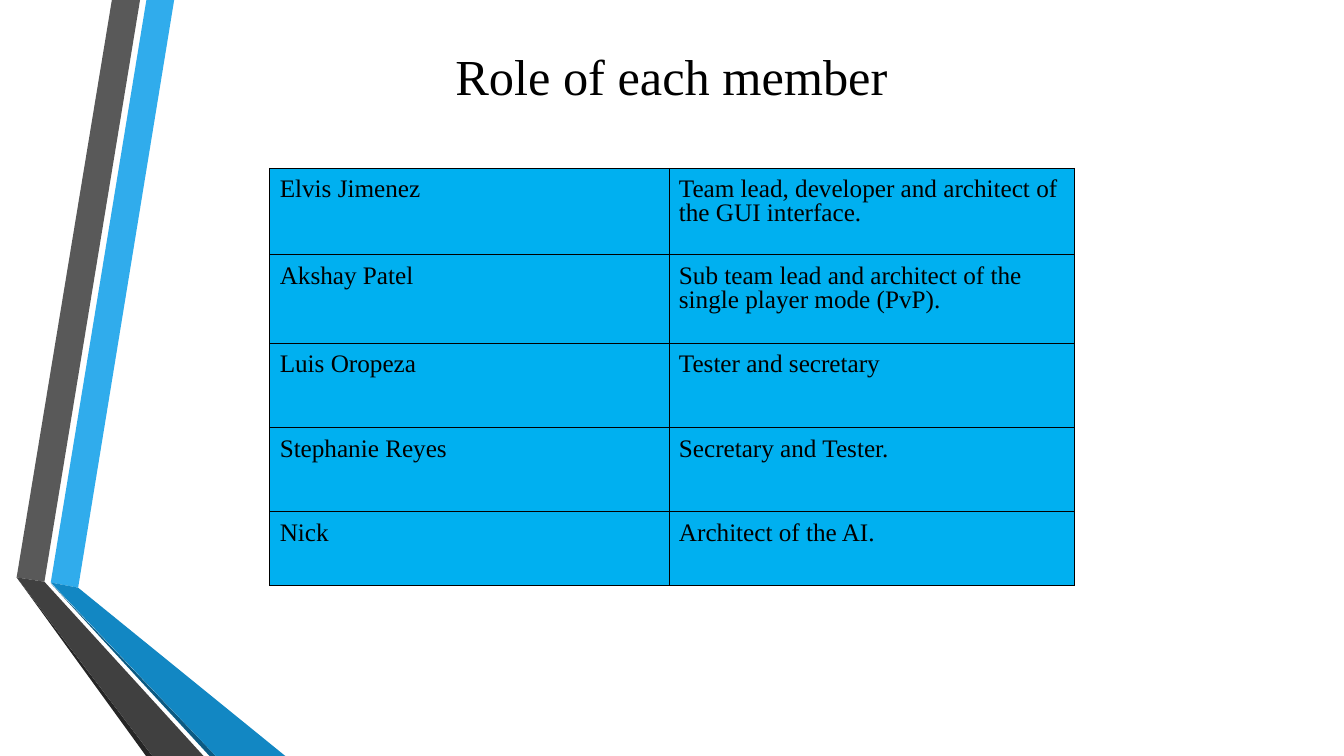
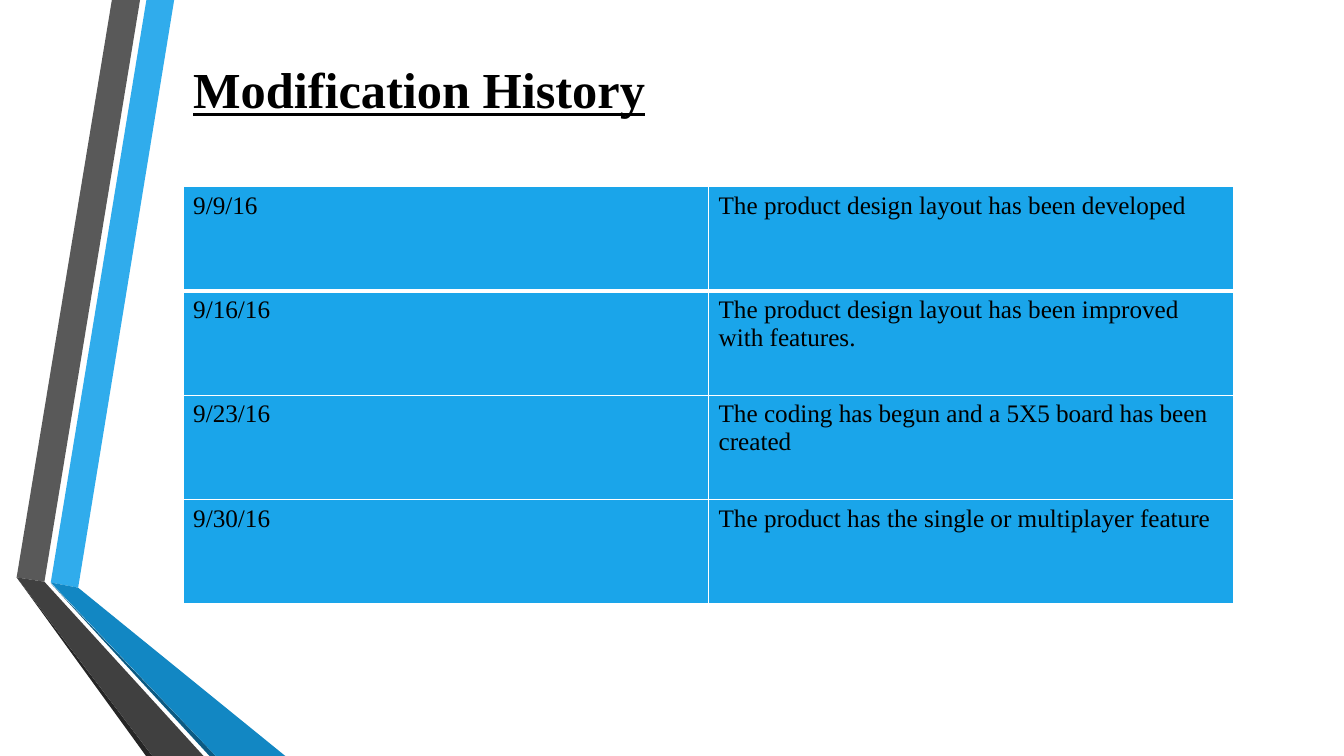
import dataclasses

import pptx
import pptx.dml.color
import pptx.enum.text
import pptx.oxml
import pptx.oxml.ns
import pptx.presentation
import pptx.slide
import pptx.table
import pptx.text.text
import pptx.util

Cm = pptx.util.Cm
Pt = pptx.util.Pt
Align = pptx.enum.text.PP_ALIGN
Anchor = pptx.enum.text.MSO_ANCHOR


@dataclasses.dataclass(frozen=True)
class Theme:
    """Colours, font and type sizes shared by the slides."""

    font: str = "Times New Roman"
    title_size: int = 36
    body_size: int = 18
    black: str = "000000"
    white: str = "FFFFFF"
    cyan: str = "00B0F0"
    azure: str = "1AA5EA"
    light_blue: str = "30ACEC"
    mid_blue: str = "1287C3"
    deep_blue: str = "0C5A82"
    grey: str = "595959"
    dark_grey: str = "404040"
    charcoal: str = "262626"


THEME = Theme()


@dataclasses.dataclass(frozen=True)
class Band:
    """One filled outline of the ribbon; points are in centimetres."""

    color: str
    points: tuple[tuple[float, float], ...]


@dataclasses.dataclass(frozen=True)
class Title:
    """A slide title and its box in centimetres."""

    text: str
    left: float
    top: float
    width: float
    height: float
    align: Align = Align.LEFT
    anchor: Anchor = Anchor.MIDDLE
    emphasized: bool = False


@dataclasses.dataclass(frozen=True)
class Grid:
    """A two-column table; lengths are in centimetres, borders in points."""

    left: float
    top: float
    columns: tuple[float, ...]
    row_heights: tuple[float, ...]
    rows: tuple[tuple[str, str], ...]
    fill: str
    border_color: str
    border: float
    first_rule: float
    vertical_margin: float
    line_spacing: float = 1.0


RIBBON = (
    Band(THEME.light_blue, ((1.28, 14.68), (1.97, 14.81), (4.39, 0), (3.69, 0))),
    Band(THEME.grey, ((3.53, 0), (2.82, 0), (0.42, 14.55), (1.12, 14.66))),
    Band(THEME.charcoal, ((0.42, 14.55), (3.68, 19.05), (3.84, 19.05))),
    Band(THEME.deep_blue, ((1.28, 14.7), (5.28, 19.05), (5.44, 19.05))),
    Band(THEME.mid_blue, ((1.28, 14.68), (5.44, 19.05), (7.19, 19.05), (1.97, 14.81))),
    Band(THEME.dark_grey, ((5.13, 19.05), (1.12, 14.66), (0.42, 14.55), (3.84, 19.05))),
)

ROLES_TITLE = Title("Role of each member", 7.82, 0.94, 18.21, 1.93, Align.CENTER)
ROLES = Grid(
    left=6.8,
    top=4.24,
    columns=(10.06, 10.21),
    row_heights=(2.18, 2.24, 2.12, 2.12, 1.85),
    rows=(
        ("Elvis Jimenez", "Team lead, developer and architect of the GUI interface."),
        ("Akshay Patel", "Sub team lead and architect of the single player mode (PvP)."),
        ("Luis Oropeza", "Tester and secretary"),
        ("Stephanie Reyes", "Secretary and Tester."),
        ("Nick", "Architect of the AI."),
    ),
    fill=THEME.cyan,
    border_color=THEME.black,
    border=0.75,
    first_rule=0.75,
    vertical_margin=0.25,
    line_spacing=0.87,
)

HISTORY_TITLE = Title(
    "Modification History", 4.62, 1.32, 25.32, 1.8, anchor=Anchor.BOTTOM, emphasized=True
)
HISTORY = Grid(
    left=4.62,
    top=4.7,
    columns=(13.24,) * 2,
    row_heights=(2.63,) * 4,
    rows=(
        ("9/9/16", "The product design layout has been developed"),
        ("9/16/16", "The product design layout has been improved with features."),
        ("9/23/16", "The coding has begun and a 5X5 board has been created"),
        ("9/30/16", "The product has the single or multiplayer feature"),
    ),
    fill=THEME.azure,
    border_color=THEME.white,
    border=1,
    first_rule=3,
    vertical_margin=0.13,
)


def rgb(color: str) -> pptx.dml.color.RGBColor:
    """Turn a hexadecimal colour into an RGBColor."""
    return pptx.dml.color.RGBColor.from_string(color)


def style_runs(
    paragraph: pptx.text.text._Paragraph, size: int, emphasized: bool = False
) -> None:
    """Apply the theme font to every run of a paragraph."""
    for run in paragraph.runs:
        run.font.name = THEME.font
        run.font.size = Pt(size)
        run.font.color.rgb = rgb(THEME.black)
        run.font.bold = emphasized
        run.font.underline = emphasized


def draw_band(slide: pptx.slide.Slide, band: Band) -> None:
    """Draw one closed band of the ribbon."""
    start, *others = [(Cm(x), Cm(y)) for x, y in band.points]
    builder = slide.shapes.build_freeform(*start)
    builder.add_line_segments(others, close=True)
    shape = builder.convert_to_shape()
    shape.shadow.inherit = False
    shape.fill.solid()
    shape.fill.fore_color.rgb = rgb(band.color)
    shape.line.fill.background()


def draw_title(slide: pptx.slide.Slide, title: Title) -> None:
    """Write the slide title."""
    box = slide.shapes.add_textbox(
        Cm(title.left), Cm(title.top), Cm(title.width), Cm(title.height)
    )
    text_frame = box.text_frame
    text_frame.word_wrap = True
    text_frame.vertical_anchor = title.anchor
    text_frame.text = title.text
    paragraph = text_frame.paragraphs[0]
    paragraph.alignment = title.align
    style_runs(paragraph, THEME.title_size, title.emphasized)


def set_borders(cell: pptx.table._Cell, color: str, top: float, bottom: float, side: float) -> None:
    """Give a cell its four border lines, widths in points."""
    properties = cell._tc.get_or_add_tcPr()
    namespace = pptx.oxml.ns.nsdecls("a")
    edges = (("lnL", side), ("lnR", side), ("lnT", top), ("lnB", bottom))
    for index, (tag, width) in enumerate(edges):
        line = pptx.oxml.parse_xml(
            f'<a:{tag} {namespace} w="{Pt(width)}"><a:solidFill>'
            f'<a:srgbClr val="{color}"/></a:solidFill></a:{tag}>'
        )
        properties.insert(index, line)


def fill_cell(cell: pptx.table._Cell, text: str, grid: Grid) -> None:
    """Write and colour one table cell."""
    cell.margin_left = cell.margin_right = Cm(0.25)
    cell.margin_top = cell.margin_bottom = Cm(grid.vertical_margin)
    cell.fill.solid()
    cell.fill.fore_color.rgb = rgb(grid.fill)
    cell.text_frame.text = text
    paragraph = cell.text_frame.paragraphs[0]
    paragraph.line_spacing = grid.line_spacing
    style_runs(paragraph, THEME.body_size)


def draw_grid(slide: pptx.slide.Slide, grid: Grid) -> None:
    """Draw a table with its sizes, texts and borders."""
    frame = slide.shapes.add_table(
        len(grid.rows),
        len(grid.columns),
        Cm(grid.left),
        Cm(grid.top),
        Cm(sum(grid.columns)),
        Cm(sum(grid.row_heights)),
    )
    table = frame.table
    table.first_row = table.horz_banding = False
    for column, width in zip(table.columns, grid.columns):
        column.width = Cm(width)
    for row, height in zip(table.rows, grid.row_heights):
        row.height = Cm(height)
    for row_index, texts in enumerate(grid.rows):
        top = grid.first_rule if row_index == 1 else grid.border
        bottom = grid.first_rule if row_index == 0 else grid.border
        for column_index, text in enumerate(texts):
            cell = table.cell(row_index, column_index)
            fill_cell(cell, text, grid)
            set_borders(cell, grid.border_color, top, bottom, grid.border)


def add_slide(presentation: pptx.presentation.Presentation, title: Title, grid: Grid) -> None:
    """Add a blank slide with the ribbon, a title and a table."""
    slide = presentation.slides.add_slide(presentation.slide_layouts[6])
    for band in RIBBON:
        draw_band(slide, band)
    draw_title(slide, title)
    draw_grid(slide, grid)


def main() -> None:
    """Build and save the presentation."""
    presentation = pptx.Presentation()
    presentation.slide_width = Cm(33.87)
    presentation.slide_height = Cm(19.05)
    add_slide(presentation, ROLES_TITLE, ROLES)
    add_slide(presentation, HISTORY_TITLE, HISTORY)
    presentation.save("out.pptx")


main()
